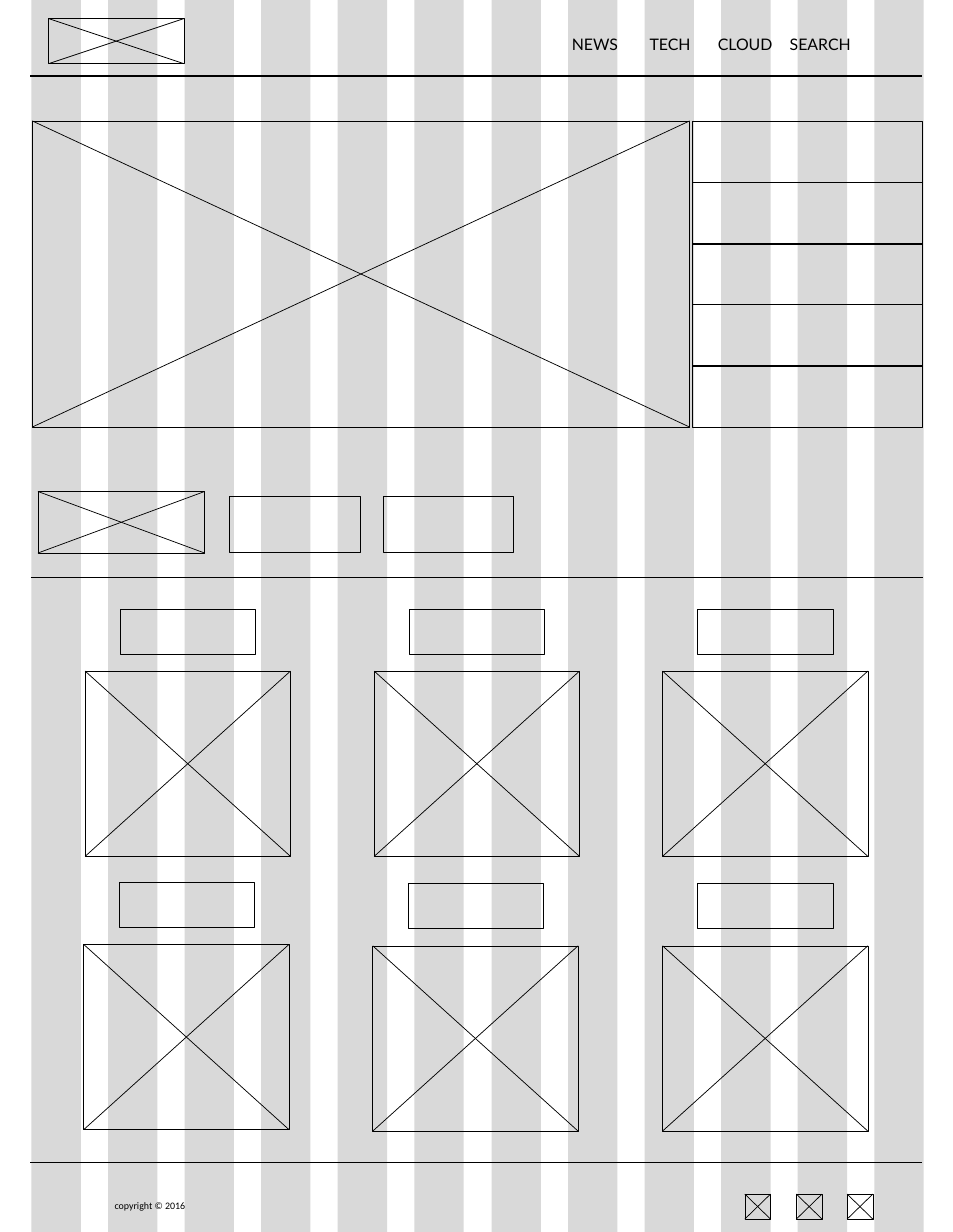
import pptx
import pptx.dml.color
import pptx.enum.shapes
import pptx.enum.text
import pptx.oxml
import pptx.util
from dataclasses import dataclass


@dataclass(frozen=True)
class Theme:
    ink: str = "000000"
    column: str = "D9D9D9"
    nav_font: str = "Lato"
    nav_size: int = 16
    legal_font: str = "Calibri"
    legal_size: int = 10
    frame: float = 0.5
    cross: float = 0.75
    header_rule: float = 2.25
    section_rule: float = 0.25


THEME = Theme()
PAGE_WIDTH, PAGE_HEIGHT = 1332, 1722


def px(length):
    return pptx.util.Emu(length * 9144)


def rgb(value):
    return pptx.dml.color.RGBColor.from_string(value)


def add_box(shapes, left, top, width, height, fill=None):
    box = shapes.add_shape(pptx.enum.shapes.MSO_SHAPE.RECTANGLE,
                           px(left), px(top), px(width), px(height))
    box.shadow.inherit = False
    if fill:
        box.fill.solid()
        box.fill.fore_color.rgb = rgb(fill)
        box.line.fill.background()
    else:
        box.fill.background()
        box.line.color.rgb = rgb(THEME.ink)
        box.line.width = pptx.util.Pt(THEME.frame)


def add_rule(shapes, x1, y1, x2, y2, weight):
    rule = shapes.add_connector(pptx.enum.shapes.MSO_CONNECTOR.STRAIGHT,
                                px(x1), px(y1), px(x2), px(y2))
    rule.line.color.rgb = rgb(THEME.ink)
    rule.line.width = pptx.util.Pt(weight)
    rule._element.spPr.append(pptx.oxml.parse_xml(
        '<a:effectLst xmlns:a="http://schemas.openxmlformats.org/drawingml/2006/main"/>'))


def add_crossed_box(shapes, left, top, width, height):
    right, bottom = left + width, top + height
    add_box(shapes, left, top, width, height)
    add_rule(shapes, left, top, right, bottom, THEME.cross)
    add_rule(shapes, right, top, left, bottom, THEME.cross)


def add_label(shapes, left, top, width, height, words, font, size):
    label = shapes.add_textbox(px(left), px(top), px(width), px(height))
    frame = label.text_frame
    frame.word_wrap = True
    frame.margin_left = frame.margin_right = px(5)
    frame.margin_top = frame.margin_bottom = px(5)
    paragraph = frame.paragraphs[0]
    paragraph.text = words
    paragraph.alignment = pptx.enum.text.PP_ALIGN.CENTER
    paragraph.font.name = font
    paragraph.font.size = pptx.util.Pt(size)
    paragraph.font.color.rgb = rgb(THEME.ink)


def draw_column_grid(slide, left, top, width, height, count=12, column_width=69):
    columns = slide.shapes.add_group_shape().shapes
    pitch = (width - column_width) / (count - 1)
    for index in range(count):
        add_box(columns, left + round(index * pitch), top, column_width, height, THEME.column)


def draw_header(slide, left, top, width, height):
    add_crossed_box(slide.shapes.add_group_shape().shapes, left + 26, top + 26, 189, 63)
    for index, section in enumerate(["NEWS", "TECH", "CLOUD", "SEARCH"]):
        add_label(slide.shapes, left + 703 + 105 * index, top + 44, 173, 35,
                  section, THEME.nav_font, THEME.nav_size)
    add_rule(slide.shapes, left, top + height, left + width, top + height, THEME.header_rule)


def draw_feature(slide, left, top, width, height, headlines=5):
    hero_width, headline_width = 919, 322
    add_crossed_box(slide.shapes.add_group_shape().shapes, left, top, hero_width, height)
    pitch = height / headlines
    for index in range(headlines):
        add_box(slide.shapes, left + width - headline_width, top + round(index * pitch),
                headline_width, round(pitch))


def draw_tabs(slide, left, top, width, height):
    add_crossed_box(slide.shapes.add_group_shape().shapes, left + 10, top, 233, 86)
    for index in range(2):
        add_box(slide.shapes, left + 278 + 214 * index, top + 7, 182, 78)
    add_rule(slide.shapes, left, top + height, left + width, top + height, THEME.section_rule)


def draw_card(slide, left, top, width, height):
    card = slide.shapes.add_group_shape().shapes
    caption_width, caption_height, photo_height = 189, 63, 259
    add_box(card, left + (width - caption_width) // 2, top, caption_width, caption_height)
    add_crossed_box(card, left, top + height - photo_height, width, photo_height)


def draw_footer(slide, left, top, width, height):
    add_rule(slide.shapes, left, top, left + width, top, THEME.section_rule)
    add_label(slide.shapes, left + 96, top + 47, 143, 25,
              "copyright © 2016", THEME.legal_font, THEME.legal_size)
    icon_width, icon_height = 36, 35
    for index in range(3):
        add_crossed_box(slide.shapes.add_group_shape().shapes,
                        left + 999 + round(71.5 * index), top + height - 18 - icon_height,
                        icon_width, icon_height)


def main():
    deck = pptx.Presentation()
    deck.slide_width, deck.slide_height = px(PAGE_WIDTH), px(PAGE_HEIGHT)
    homepage = deck.slides.add_slide(deck.slide_layouts[6])
    draw_column_grid(homepage, 44, 0, 1247, PAGE_HEIGHT)
    draw_header(homepage, 42, 0, 1246, 106)
    draw_feature(homepage, 45, 169, 1244, 428)
    draw_tabs(homepage, 43, 687, 1247, 119)
    card_corners = [(119, 851), (523, 851), (926, 851),
                    (117, 1233), (521, 1235), (926, 1235)]
    for left, top in card_corners:
        draw_card(homepage, left, top, 287, 346)
    draw_footer(homepage, 42, 1625, 1246, 97)
    deck.save("out.pptx")


if __name__ == "__main__":
    main()
